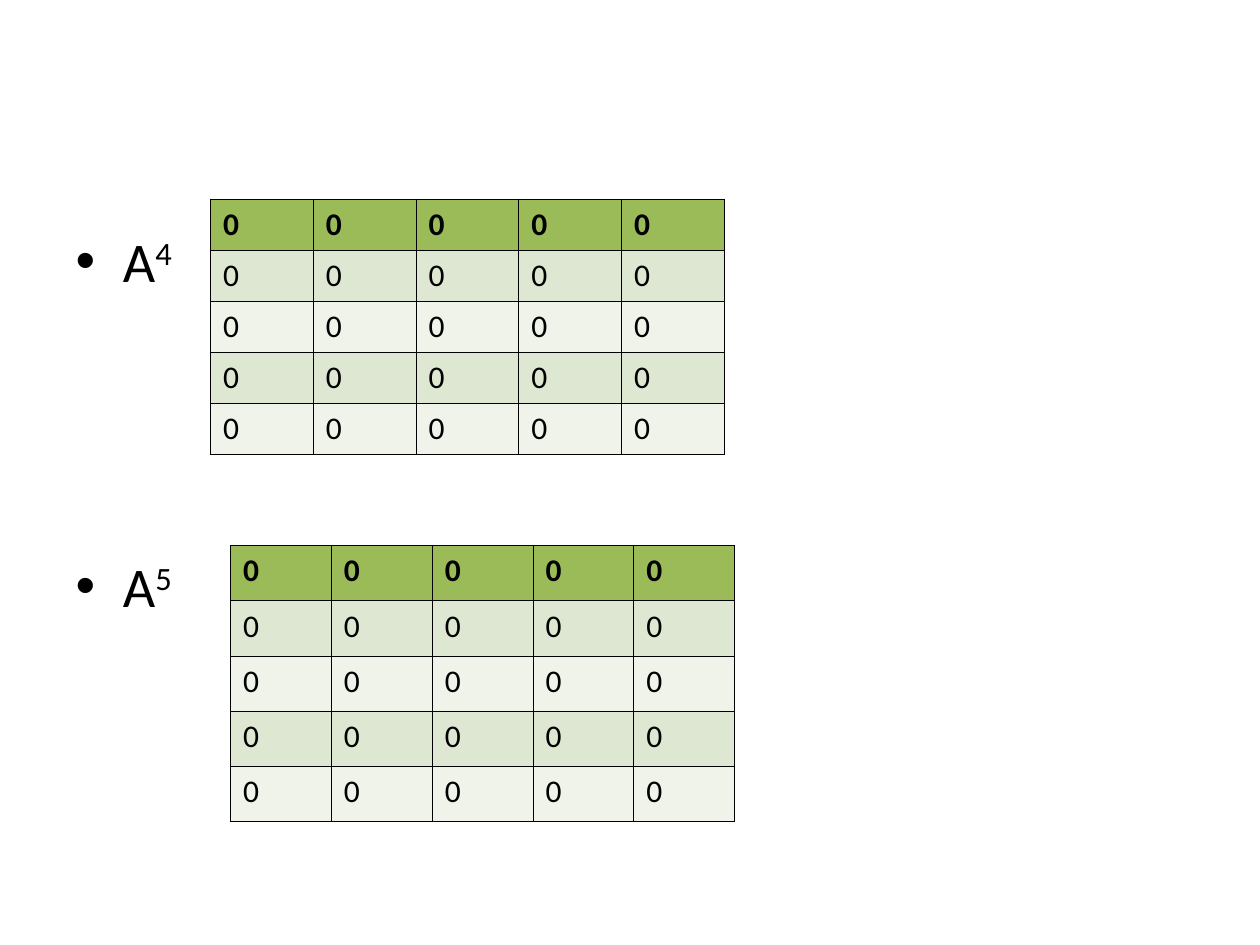
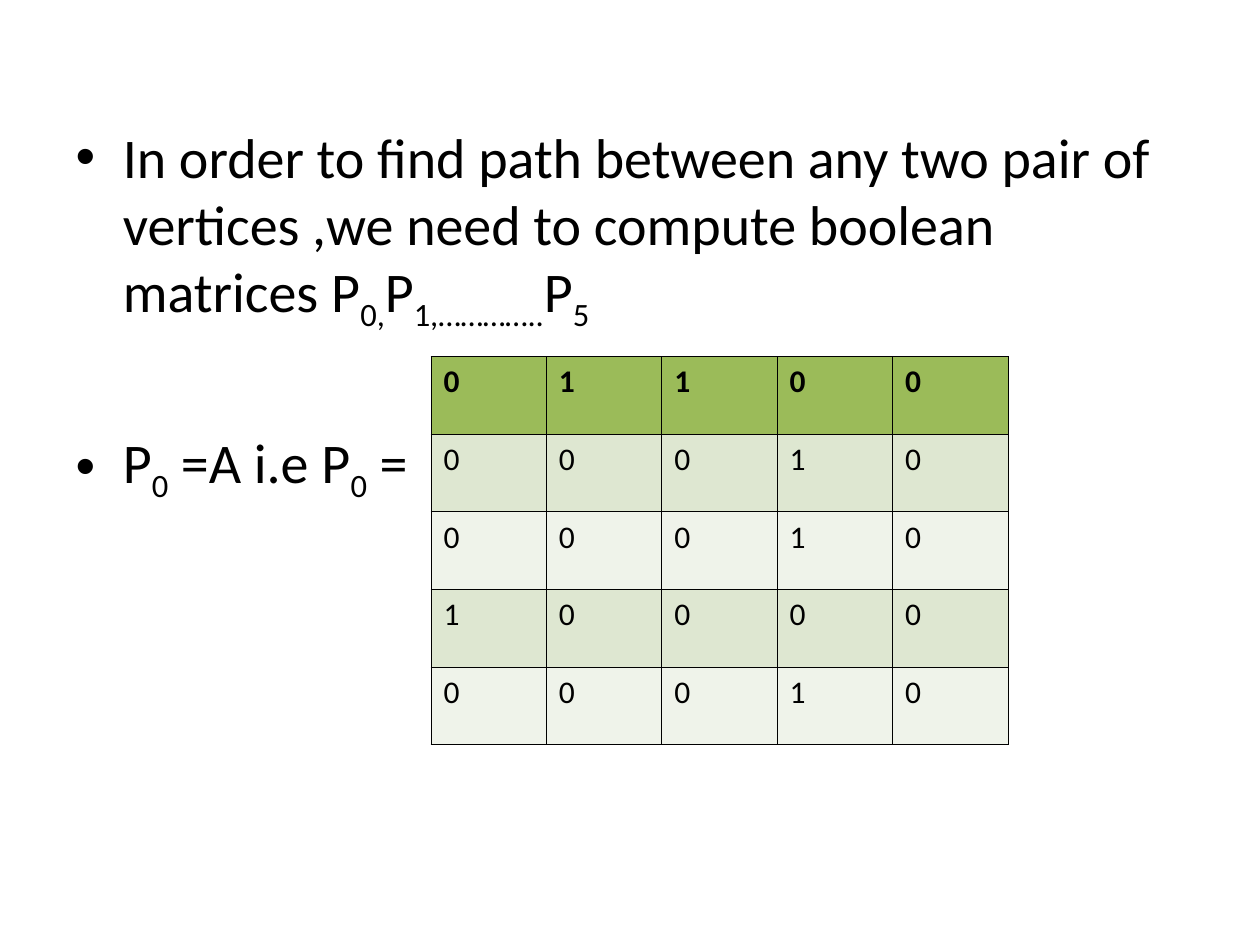
from lxml.etree import SubElement
from pptx import Presentation
from pptx.dml.color import RGBColor
from pptx.enum.text import MSO_AUTO_SIZE
from pptx.oxml.ns import qn
from pptx.util import Emu, Pt

SCALE = 9144
FONT = "Calibri"
BLACK = "000000"
HEADER_FILL = "9BBB59"
BAND_FILLS = ("DEE7D1", "EFF3EA")
SUPER, SUB = 30, -25

ZERO_MATRIX = ["00000"] * 5
ADJACENCY_MATRIX = ["01100", "00010", "00010", "10000", "00010"]


def px(length):
    """Turn px, 100 to the inch, into EMU."""
    return Emu(length * SCALE)


def color(value):
    """Turn a hex string into a colour."""
    return RGBColor.from_string(value)


def place(shape, left, top, width, height):
    """Move and size a shape in px."""
    shape.left, shape.top = px(left), px(top)
    shape.width, shape.height = px(width), px(height)


def add_span(para, text, size, bold=False, baseline=0):
    """Add one formatted run, raised or lowered by a baseline percentage."""
    span = para.add_run()
    span.text = text
    span.font.name = FONT
    span.font.size = Pt(size)
    span.font.bold = bold
    span.font.color.rgb = color(BLACK)
    if baseline:
        span.font._element.set("baseline", str(baseline * 1000))


def add_page(deck):
    """Add a page that has only a body placeholder."""
    page = deck.slides.add_slide(deck.slide_layouts[1])
    title = page.shapes.title._element
    title.getparent().remove(title)
    return page


def fill_body(page, area, bullets):
    """Write bullets, each a space before and its spans, into the body."""
    body = page.placeholders[1]
    place(body, *area)
    frame = body.text_frame
    frame.word_wrap = True
    frame.auto_size = MSO_AUTO_SIZE.NONE
    for index, (space, spans) in enumerate(bullets):
        para = frame.add_paragraph() if index else frame.paragraphs[0]
        para.space_before = Pt(space)
        for text, baseline in spans:
            add_span(para, text, 32, baseline=baseline)


def add_borders(cell):
    """Draw a thin black line on each side of a cell."""
    properties = cell._tc.get_or_add_tcPr()
    for side in ("a:lnL", "a:lnR", "a:lnT", "a:lnB"):
        line = SubElement(properties, qn(side), w=str(Pt(0.45)))
        fill = SubElement(line, qn("a:solidFill"))
        SubElement(fill, qn("a:srgbClr"), val=BLACK)


def add_matrix(page, matrix, left, top, width, height):
    """Add a matrix as a table with equal cells and banded rows."""
    rows, columns = len(matrix), len(matrix[0])
    table = page.shapes.add_table(
        rows, columns, px(left), px(top), px(width), px(height)
    ).table
    table.horz_banding = False
    for row, digits in enumerate(matrix):
        row_fill = BAND_FILLS[(row - 1) % 2] if row else HEADER_FILL
        for column, digit in enumerate(digits):
            cell = table.cell(row, column)
            add_borders(cell)
            cell.fill.solid()
            cell.fill.fore_color.rgb = color(row_fill)
            add_span(cell.text_frame.paragraphs[0], digit, 18, bold=row == 0)


def add_powers_page(deck):
    """Show the fourth and fifth powers of the matrix."""
    page = add_page(deck)
    fill_body(page, (50, 175, 900, 495), [
        (0, [("A", 0), ("4", SUPER)]),
        (147, [("A", 0), ("5", SUPER)]),
    ])
    add_matrix(page, ZERO_MATRIX, 167, 158, 408, 200)
    add_matrix(page, ZERO_MATRIX, 183, 433, 400, 219)


def add_paths_page(deck):
    """Introduce the boolean path matrices."""
    page = add_page(deck)
    fill_body(page, (50, 92, 886, 565), [
        (0, [
            ("In order to find path between any two pair of vertices ,"
             "we need to compute boolean matrices P", 0),
            ("0,", SUB), ("P", 0), ("1,…………..", SUB), ("P", 0), ("5", SUB),
        ]),
        (54, [("P", 0), ("0", SUB), (" =A i.e P", 0), ("0", SUB), (" =", 0)]),
    ])
    add_matrix(page, ADJACENCY_MATRIX, 342, 283, 458, 308)


def main():
    """Build and save the deck."""
    deck = Presentation()
    deck.slide_width, deck.slide_height = px(1000), px(750)
    add_powers_page(deck)
    add_paths_page(deck)
    deck.save("out.pptx")


if __name__ == "__main__":
    main()
